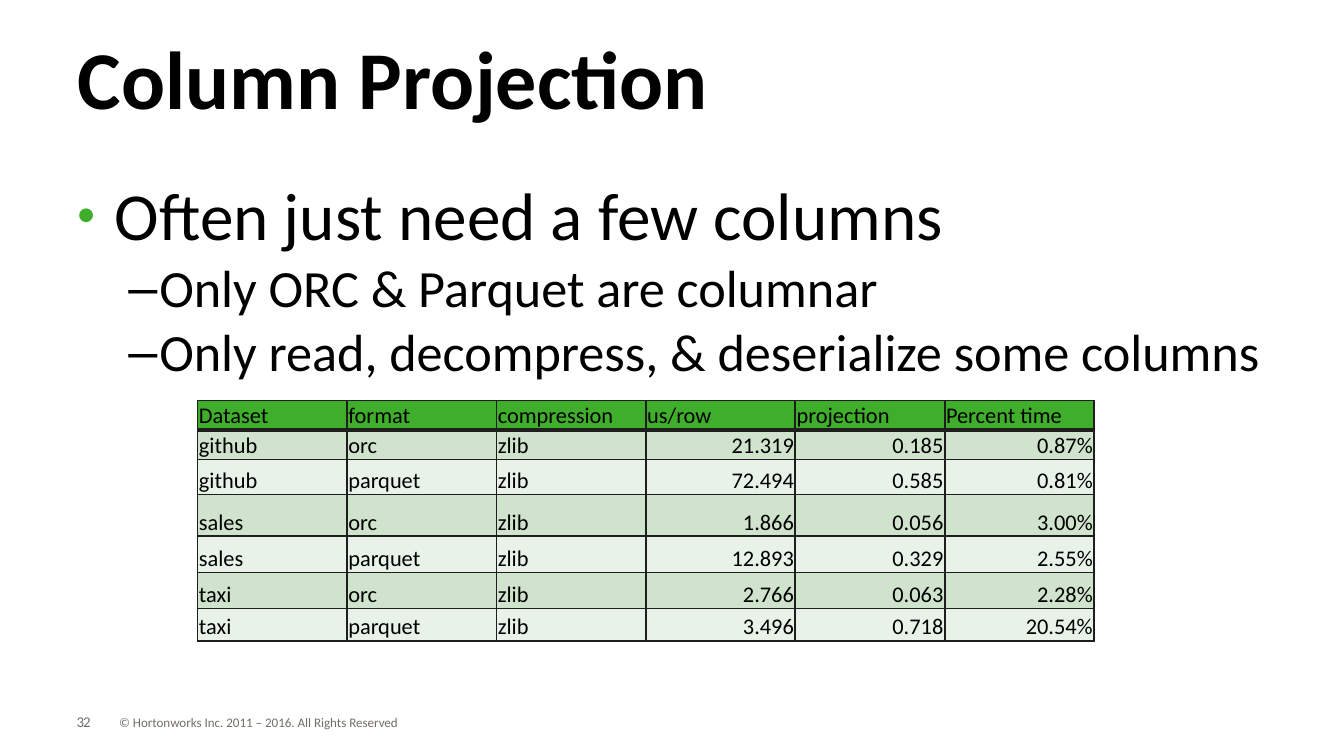
import lxml.etree
import pptx
import pptx.dml.color
import pptx.enum.text
import pptx.oxml.ns
import pptx.util

BLACK = pptx.dml.color.RGBColor(0x00, 0x00, 0x00)
GREY = pptx.dml.color.RGBColor(0x72, 0x6F, 0x66)
GREEN = pptx.dml.color.RGBColor(0x3F, 0xAE, 0x2A)
DARK_BAND = pptx.dml.color.RGBColor(0xCF, 0xE3, 0xCD)
LIGHT_BAND = pptx.dml.color.RGBColor(0xE8, 0xF2, 0xE8)
BORDER = pptx.dml.color.RGBColor(0x1E, 0x1E, 0x1E)

ALIGN = pptx.enum.text.PP_ALIGN
ANCHOR = pptx.enum.text.MSO_ANCHOR
AUTO_SIZE = pptx.enum.text.MSO_AUTO_SIZE

BULLETS = [
    ("Often just need a few columns",
     dict(size=36, bullet="•", bullet_color=GREEN, bullet_size=75, margin=0.28, hanging=0.28)),
    ("Only ORC & Parquet are columnar",
     dict(size=28, bullet="–", level=1, margin=0.61, hanging=0.23, before=3.8)),
    ("Only read, decompress, & deserialize some columns",
     dict(size=28, bullet="–", level=1, margin=0.61, hanging=0.23, before=3.8)),
]
TIMINGS = [
    ("Dataset", "format", "compression", "us/row", "projection", "Percent time"),
    ("github", "orc", "zlib", "21.319", "0.185", "0.87%"),
    ("github", "parquet", "zlib", "72.494", "0.585", "0.81%"),
    ("sales", "orc", "zlib", "1.866", "0.056", "3.00%"),
    ("sales", "parquet", "zlib", "12.893", "0.329", "2.55%"),
    ("taxi", "orc", "zlib", "2.766", "0.063", "2.28%"),
    ("taxi", "parquet", "zlib", "3.496", "0.718", "20.54%"),
]
ROW_HEIGHTS = [2.2, 2.2, 2.6, 3.1, 2.7, 2.7, 2.4]


def add_element(parent, tag, **attributes):
    """Append a drawing element to its parent."""
    return lxml.etree.SubElement(parent, pptx.oxml.ns.qn(tag), attributes)


def write_paragraph(paragraph, text, size=12, color=BLACK, bold=False, align=ALIGN.LEFT,
                    spacing=1.0, before=0, tracking=0, level=0, margin=0, hanging=0,
                    bullet=None, bullet_color=BLACK, bullet_size=100):
    """Fill a paragraph with formatted text."""
    paragraph.level = level
    paragraph.alignment = align
    paragraph.line_spacing = spacing
    paragraph.space_before = pptx.util.Pt(before)
    if bullet:
        properties = paragraph._p.get_or_add_pPr()
        properties.set("marL", str(pptx.util.Inches(margin)))
        properties.set("indent", str(-pptx.util.Inches(hanging)))
        add_element(add_element(properties, "a:buClr"), "a:srgbClr", val=str(bullet_color))
        add_element(properties, "a:buSzPct", val=str(bullet_size * 1000))
        add_element(properties, "a:buFont", typeface="Arial")
        add_element(properties, "a:buChar", char=bullet)
    run = paragraph.add_run()
    run.text = text
    run.font.name = "Calibri"
    run.font.size = pptx.util.Pt(size)
    run.font.bold = bold
    run.font.color.rgb = color
    if tracking:
        run._r.get_or_add_rPr().set("spc", str(round(tracking * 100)))


class SlideBuilder:
    """Holds the slide and its grid of 100 columns, with square units."""

    def __init__(self, presentation):
        self.slide = presentation.slides.add_slide(presentation.slide_layouts[1])
        self.unit = presentation.slide_width / 100

    def grid(self, *units):
        """Turn grid units into slide lengths."""
        return [pptx.util.Emu(round(unit * self.unit)) for unit in units]

    def prepare(self, shape, area, anchor=ANCHOR.TOP, wrap=True):
        """Place a text shape and return its frame without margins."""
        shape.left, shape.top, shape.width, shape.height = self.grid(*area)
        frame = shape.text_frame
        frame.margin_left = frame.margin_right = frame.margin_top = frame.margin_bottom = 0
        frame.word_wrap = wrap
        frame.vertical_anchor = anchor
        frame.auto_size = AUTO_SIZE.SHAPE_TO_FIT_TEXT
        return frame

    def title(self, text, area):
        """Write the slide title."""
        frame = self.prepare(self.slide.shapes.title, area, ANCHOR.MIDDLE)
        write_paragraph(frame.paragraphs[0], text, size=44, bold=True, spacing=0.85)

    def bullets(self, items, area):
        """Write the bulleted list in the body placeholder."""
        frame = self.prepare(self.slide.placeholders[1], area)
        for index, (text, style) in enumerate(items):
            paragraph = frame.add_paragraph() if index else frame.paragraphs[0]
            write_paragraph(paragraph, text, spacing=0.9, **style)

    def label(self, text, area, **style):
        """Add a small footer text."""
        shape = self.slide.shapes.add_textbox(0, 0, 0, 0)
        frame = self.prepare(shape, area, wrap=False)
        write_paragraph(frame.paragraphs[0], text, color=GREY, **style)

    def table(self, rows, left, top, column_width, row_heights):
        """Add a bordered table with banded rows."""
        area = self.grid(left, top, column_width * len(rows[0]), sum(row_heights))
        table = self.slide.shapes.add_table(len(rows), len(rows[0]), *area).table
        table.first_row = table.horz_banding = False
        for column in table.columns:
            column.width = self.grid(column_width)[0]
        for row_index, texts in enumerate(rows):
            table.rows[row_index].height = self.grid(row_heights[row_index])[0]
            for column_index, text in enumerate(texts):
                self.cell(table.cell(row_index, column_index), text, row_index, column_index)

    def cell(self, cell, text, row_index, column_index):
        """Format and fill one table cell."""
        cell.margin_left = cell.margin_right = cell.margin_top = pptx.util.Inches(0.01)
        cell.margin_bottom = 0
        cell.vertical_anchor = ANCHOR.BOTTOM
        thick_side = {0: "B", 1: "T"}.get(row_index)
        for side in "LRTB":
            width = pptx.util.Pt(3 if side == thick_side else 1)
            line = add_element(cell._tc.get_or_add_tcPr(), "a:ln" + side, w=str(width))
            add_element(add_element(line, "a:solidFill"), "a:srgbClr", val=str(BORDER))
        cell.fill.solid()
        band = DARK_BAND if row_index % 2 else LIGHT_BAND
        cell.fill.fore_color.rgb = band if row_index else GREEN
        numeric = row_index > 0 and column_index > 2
        write_paragraph(cell.text_frame.paragraphs[0], text,
                        align=ALIGN.RIGHT if numeric else ALIGN.LEFT)


def main():
    """Build and save the presentation."""
    presentation = pptx.Presentation()
    presentation.slide_width = pptx.util.Inches(10)
    presentation.slide_height = presentation.slide_width * 9 // 16
    builder = SlideBuilder(presentation)
    builder.label("32", (5.7, 53.15, 1.4, 1.2), size=8, spacing=0.9, tracking=-0.5)
    builder.label("© Hortonworks Inc. 2011 – 2016. All Rights Reserved",
                  (8.87, 53.15, 21.2, 1.2), size=7)
    builder.title("Column Projection", (5.8, 3.1, 90, 6.3))
    builder.bullets(BULLETS, (5.75, 13.6, 90, 15.1))
    builder.table(TIMINGS, 14.7, 29.8, 11.12, ROW_HEIGHTS)
    presentation.save("out.pptx")


if __name__ == "__main__":
    main()
